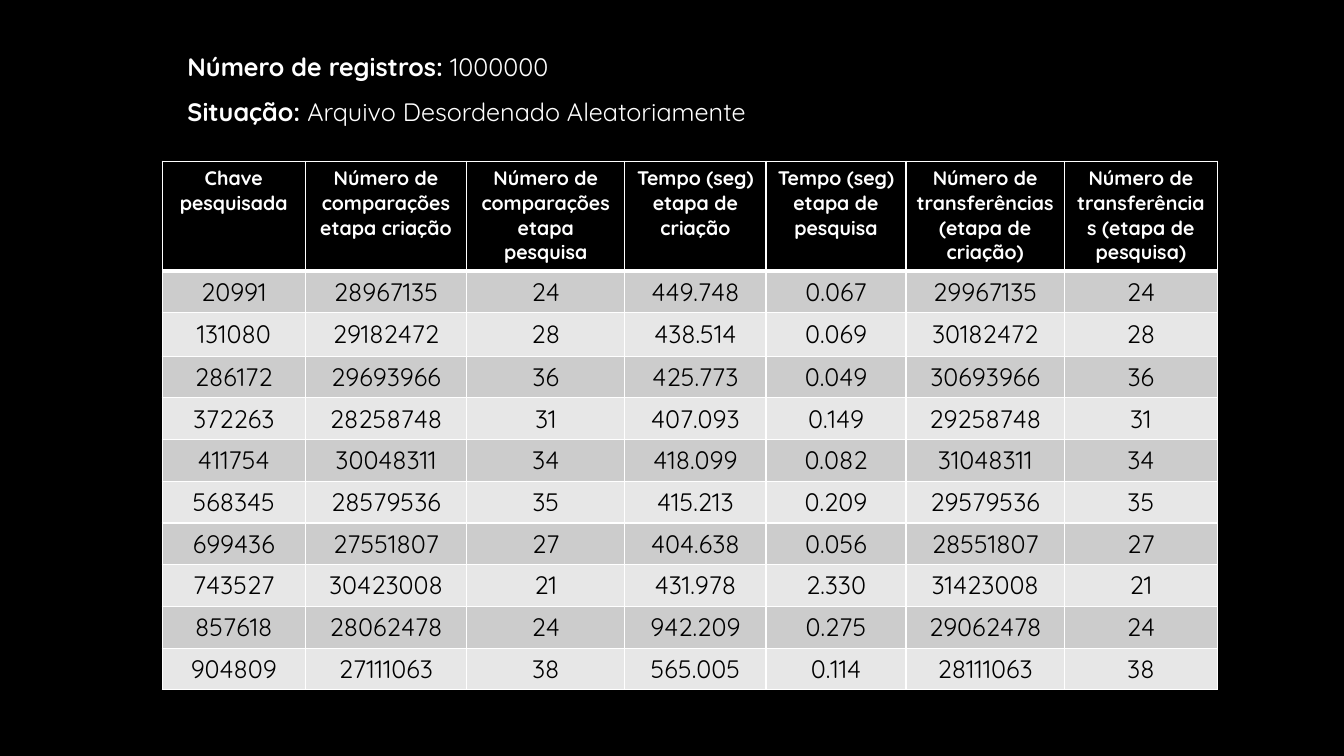
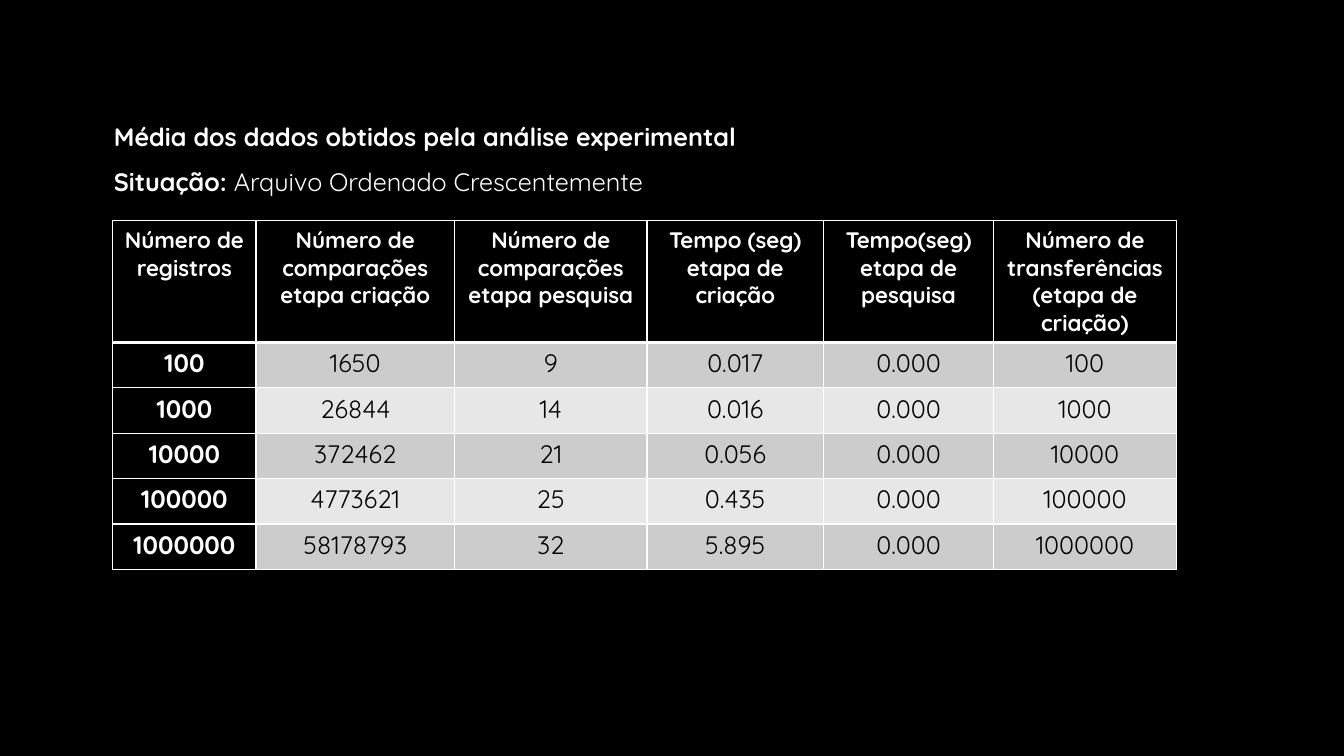
"""Build two slides that tabulate the results of a search experiment."""
from lxml.etree import SubElement
from pptx import Presentation
from pptx.dml.color import RGBColor
from pptx.enum.text import MSO_ANCHOR, MSO_AUTO_SIZE, PP_ALIGN
from pptx.oxml.ns import qn
from pptx.util import Pt

HUES = {"dark": "000000", "light": "FFFFFF", "odd": "CCCCCC", "even": "E7E7E7"}
FONT = "Quicksand"
SIZE = 18

PAGES = [
    {
        "title": [
            [("Número de registros: ", True), ("1000000", False)],
            [("Situação: ", True), ("Arquivo Desordenado Aleatoriamente", False)],
        ],
        "box": (126.72, 22.32, 470, 72.72),
        "spot": (115.92, 115.2),
        "tall": 375.12,
        "cols": [102.24, 115.2, 113.04, 100.8, 100.08, 113.04, 109.44],
        "rows": [78.48, 29.52, 30.96] + [29.52] * 8,
        "head": 14,
        "keys": False,
        "data": [
            ("Chave pesquisada", "Número de comparações etapa criação",
             "Número de comparações etapa pesquisa", "Tempo (seg) etapa de criação",
             "Tempo (seg) etapa de pesquisa", "Número de transferências (etapa de criação)",
             "Número de transferências (etapa de pesquisa)"),
            ("20991", "28967135", "24", "449.748", "0.067", "29967135", "24"),
            ("131080", "29182472", "28", "438.514", "0.069", "30182472", "28"),
            ("286172", "29693966", "36", "425.773", "0.049", "30693966", "36"),
            ("372263", "28258748", "31", "407.093", "0.149", "29258748", "31"),
            ("411754", "30048311", "34", "418.099", "0.082", "31048311", "34"),
            ("568345", "28579536", "35", "415.213", "0.209", "29579536", "35"),
            ("699436", "27551807", "27", "404.638", "0.056", "28551807", "27"),
            ("743527", "30423008", "21", "431.978", "2.330", "31423008", "21"),
            ("857618", "28062478", "24", "942.209", "0.275", "29062478", "24"),
            ("904809", "27111063", "38", "565.005", "0.114", "28111063", "38"),
        ],
    },
    {
        "title": [
            [("Média dos dados obtidos pela análise experimental", True)],
            [("Situação: ", True), ("Arquivo Ordenado Crescentemente", False)],
        ],
        "box": (74.16, 72, 500, 72.72),
        "spot": (80.64, 157.68),
        "tall": 244.8,
        "cols": [102.24, 141.84, 137.52, 126, 121.68, 130.32],
        "rows": [72.72] + [32.4] * 5,
        "head": 16,
        "keys": True,
        "data": [
            ("Número de registros", "Número de comparações etapa criação",
             "Número de comparações etapa pesquisa", "Tempo (seg) etapa de criação",
             "Tempo(seg) etapa de pesquisa", "Número de transferências (etapa de criação)"),
            ("100", "1650", "9", "0.017", "0.000", "100"),
            ("1000", "26844", "14", "0.016", "0.000", "1000"),
            ("10000", "372462", "21", "0.056", "0.000", "10000"),
            ("100000", "4773621", "25", "0.435", "0.000", "100000"),
            ("1000000", "58178793", "32", "5.895", "0.000", "1000000"),
        ],
    },
]


def hue(name):
    return RGBColor.from_string(HUES[name])


def write(para, text, size, bold, tint):
    run = para.add_run()
    run.text = text
    look = {"name": FONT, "size": Pt(size), "bold": bold}
    for key, value in look.items():
        setattr(run.font, key, value)
    run.font.color.rgb = hue(tint)


def set_title(slide, page):
    shape = slide.shapes.title
    for key, value in zip(("left", "top", "width", "height"), page["box"]):
        setattr(shape, key, Pt(value))
    frame = shape.text_frame
    look = {"word_wrap": True, "auto_size": MSO_AUTO_SIZE.NONE,
            "vertical_anchor": MSO_ANCHOR.TOP}
    for key, value in look.items():
        setattr(frame, key, value)
    for i, parts in enumerate(page["title"]):
        para = frame.add_paragraph() if i else frame.paragraphs[0]
        para.alignment, para.line_spacing = PP_ALIGN.LEFT, 1.5
        for text, bold in parts:
            write(para, text, SIZE, bold, "light")


def rule(cell, row):
    props = cell._tc.get_or_add_tcPr()
    wide = {"lnT": 3 if row == 1 else 1, "lnB": 3 if row == 0 else 1}
    for side in ("lnL", "lnR", "lnT", "lnB"):
        line = SubElement(props, qn(f"a:{side}"), w=str(Pt(wide.get(side, 1))))
        fill = SubElement(line, qn("a:solidFill"))
        SubElement(fill, qn("a:srgbClr"), val=HUES["light"])


def add_grid(slide, page):
    data, cols, rows = page["data"], page["cols"], page["rows"]
    left, top = page["spot"]
    frame = slide.shapes.add_table(len(rows), len(cols), Pt(left), Pt(top),
                                   Pt(sum(cols)), Pt(page["tall"]))
    table = frame.table
    table.horz_banding = False
    table.first_col = page["keys"]
    for col, wide in zip(table.columns, cols):
        col.width = Pt(wide)
    for row, tall in zip(table.rows, rows):
        row.height = Pt(tall)
    frame.height = Pt(page["tall"])
    for r, line in enumerate(data):
        for c, text in enumerate(line):
            cell = table.cell(r, c)
            head = r == 0 or (page["keys"] and c == 0)
            rule(cell, r)
            cell.fill.solid()
            cell.fill.fore_color.rgb = hue("dark" if head else "odd" if r % 2 else "even")
            para = cell.text_frame.paragraphs[0]
            para.alignment = PP_ALIGN.CENTER
            write(para, text, SIZE if r else page["head"], head, "light" if head else "dark")


def main():
    deck = Presentation()
    deck.slide_width, deck.slide_height = Pt(960), Pt(540)
    back = deck.slide_master.background.fill
    back.solid()
    back.fore_color.rgb = hue("dark")
    for page in PAGES:
        slide = deck.slides.add_slide(deck.slide_layouts.get_by_name("Title Only"))
        set_title(slide, page)
        add_grid(slide, page)
    deck.save("out.pptx")


if __name__ == "__main__":
    main()
